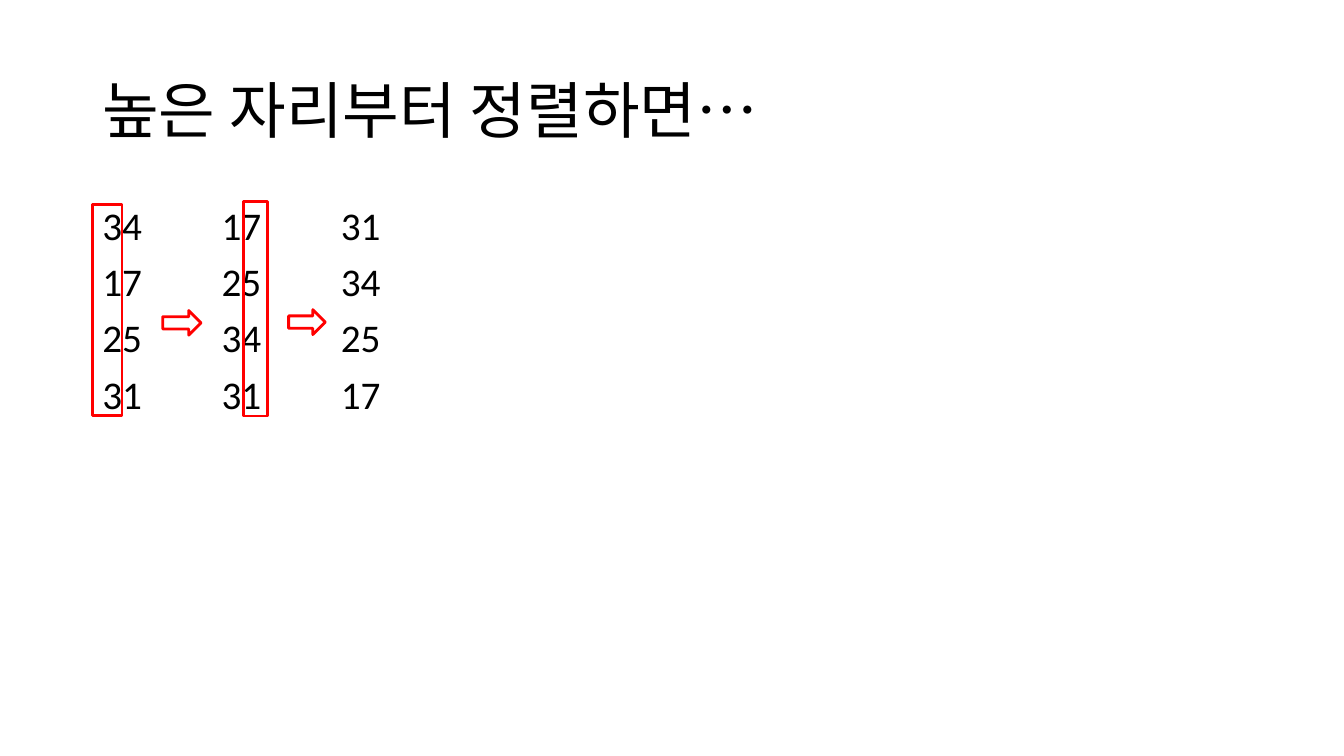
import pptx
import pptx.dml.color
import pptx.enum.shapes
import pptx.enum.text
import pptx.oxml
import pptx.oxml.ns
import pptx.util

Pt = pptx.util.Pt
SHAPE = pptx.enum.shapes.MSO_SHAPE
ANCHOR = pptx.enum.text.MSO_ANCHOR


def color(value):
    return pptx.dml.color.RGBColor.from_string(value)


def write(paragraph, text, size=28, fill="000000", font="Calibri", before=0, tabs=()):
    paragraph.line_spacing = 0.9
    paragraph.space_before = Pt(before)
    run = paragraph.add_run()
    run.text = text
    run.font.size = Pt(size)
    run.font.name = font
    run.font.color.rgb = color(fill)
    if tabs:
        stops = "".join(f'<a:tab pos="{Pt(stop)}" algn="l"/>' for stop in tabs)
        paragraph._p.get_or_add_pPr().append(pptx.oxml.parse_xml(
            f'<a:tabLst {pptx.oxml.ns.nsdecls("a")}>{stops}</a:tabLst>'))


class SortSlide:
    mark_color = "FF0000"
    mark_width = 2

    def __init__(self, slide):
        self.shapes = slide.shapes

    def text(self, left, top, width, height, lines, anchor=ANCHOR.TOP, **style):
        frame = self.shapes.add_textbox(Pt(left), Pt(top), Pt(width), Pt(height)).text_frame
        frame.word_wrap = True
        frame.vertical_anchor = anchor
        for i, line in enumerate(lines):
            write(frame.add_paragraph() if i else frame.paragraphs[0], line, **style)

    def mark(self, kind, left, top, width, height):
        shape = self.shapes.add_shape(kind, Pt(left), Pt(top), Pt(width), Pt(height))
        shape.shadow.inherit = False
        shape.fill.background()
        shape.line.color.rgb = color(self.mark_color)
        shape.line.width = Pt(self.mark_width)


def main():
    deck = pptx.Presentation()
    deck.slide_width, deck.slide_height = Pt(960), Pt(540)
    page = SortSlide(deck.slides.add_slide(deck.slide_layouts[6]))

    # Title
    page.text(66, 28.75, 828, 104.4, ["높은 자리부터 정렬하면…"], anchor=ANCHOR.MIDDLE, size=44)

    # Numbers: one column for each sorting pass
    passes = [(34, 17, 25, 31), (17, 25, 34, 31), (31, 34, 25, 17)]
    column_gap = 85.2
    rows = ["\t".join(map(str, row)) for row in zip(*passes)]
    page.text(66, 143.75, 828, 342.6, rows, before=10,
              tabs=[column_gap * i for i in range(1, len(passes))])

    # Digit that each pass sorts by
    page.mark(SHAPE.RECTANGLE, 66, 145.8, 21.2, 151.2)
    page.mark(SHAPE.RECTANGLE, 173.8, 144, 17.2, 153.2)

    # Arrows between passes
    page.mark(SHAPE.RIGHT_ARROW, 116.2, 221.8, 27.4, 17.6)
    page.mark(SHAPE.RIGHT_ARROW, 206.2, 221.2, 26.2, 17.8)

    deck.save("out.pptx")


if __name__ == "__main__":
    main()
